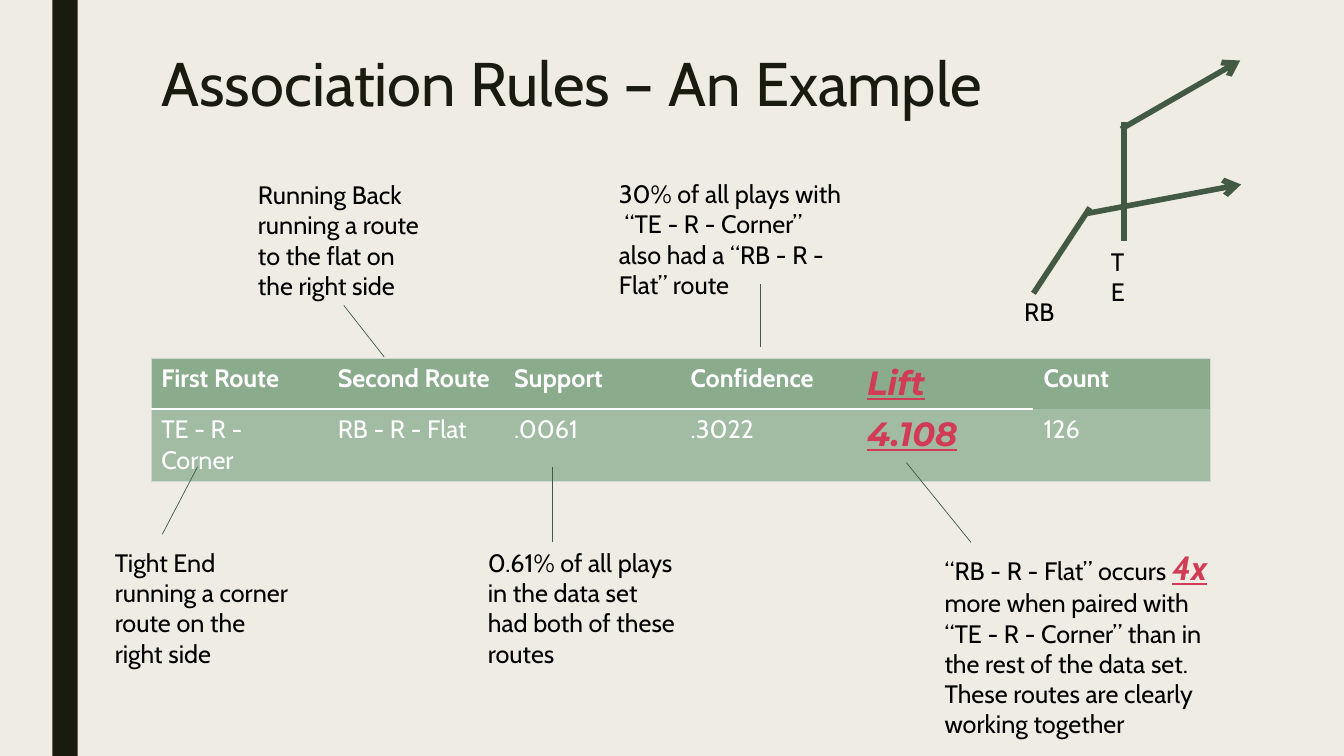
import pptx
import pptx.util
import pptx.dml.color
import pptx.enum.shapes
import pptx.enum.text
import pptx.oxml
import pptx.oxml.ns
import lxml.etree

Inches = pptx.util.Inches
Pt = pptx.util.Pt
RGBColor = pptx.dml.color.RGBColor
qn = pptx.oxml.ns.qn

CREAM = RGBColor(0xEF, 0xED, 0xE3)
DARK = RGBColor(0x19, 0x1B, 0x0E)
BLACK = RGBColor(0, 0, 0)
WHITE = RGBColor(0xFF, 0xFF, 0xFF)
RED = RGBColor(0xD1, 0x3B, 0x56)
GREEN = RGBColor(0x42, 0x5A, 0x43)
HEAD = RGBColor(0x8B, 0xAB, 0x8D)
BODY = RGBColor(0xA2, 0xBC, 0xA4)
EDGE = RGBColor(0xD0, 0xDA, 0xD1)
PLAIN = "{2D5ABB26-0587-4C30-8999-92F81FD0307C}"


def style(font, color, size=18, name="Cabin", bold=False, accent=False):
    """Format a font; an accent is bold, italic and underlined."""
    font.name, font.size, font.color.rgb = name, Pt(size), color
    font.bold = bold or accent
    font.italic = font.underline = accent


def draw(start, end, width, arrow=False):
    """Draw a green line, with an arrowhead at its end if asked."""
    line = slide.shapes.add_connector(
        pptx.enum.shapes.MSO_CONNECTOR.STRAIGHT,
        *[Inches(v) for v in start + end])
    line.line.color.rgb = GREEN
    line.line.width = Pt(width)
    if arrow:
        tip = lxml.etree.SubElement(line.line._get_or_add_ln(), qn("a:tailEnd"))
        tip.set("type", "arrow")
    lxml.etree.SubElement(line._element.spPr, qn("a:effectLst"))


deck = pptx.Presentation()
deck.slide_width, deck.slide_height = Inches(13.33), Inches(7.5)
slide = deck.slides.add_slide(deck.slide_layouts[5])
slide.background.fill.solid()
slide.background.fill.fore_color.rgb = CREAM

bar = slide.shapes.add_shape(
    pptx.enum.shapes.MSO_SHAPE.RECTANGLE,
    Inches(0.52), 0, Inches(0.25), Inches(7.5))
bar.shadow.inherit = False
bar.fill.solid()
bar.fill.fore_color.rgb = DARK
bar.line.fill.background()

title = slide.shapes.title
title.left, title.top = Inches(1.5), Inches(0.48)
title.width, title.height = Inches(10.5), Inches(1.62)
title.text_frame.text = "Association Rules – An Example"
title.text_frame.vertical_anchor = pptx.enum.text.MSO_ANCHOR.TOP
head = title.text_frame.paragraphs[0]
head.alignment = pptx.enum.text.PP_ALIGN.LEFT
head.line_spacing = 0.89
style(head.font, DARK, 44)

# Table of the rule and its measures
rows = [
    ["First Route", "Second Route", "Support", "Confidence", "Lift", "Count"],
    ["TE - R - Corner", "RB - R - Flat", ".0061", ".3022", "4.108", "126"],
]
frame = slide.shapes.add_table(
    2, 6, Inches(1.5), Inches(3.55), Inches(10.5), Inches(1.22))
table = frame.table
table._tbl.tblPr.find(qn("a:tableStyleId")).text = PLAIN
for row, high in zip(table.rows, (0.5, 0.72)):
    row.height = Inches(high)
for r, row in enumerate(rows):
    for c, text in enumerate(row):
        cell = table.cell(r, c)
        cell.text = text
        font = cell.text_frame.paragraphs[0].font
        if c == 4:
            style(font, RED, 24, "Montserrat", accent=True)
        else:
            style(font, WHITE, bold=r == 0)
        rule = (WHITE, 1.5) if c < 5 else None
        thin = (EDGE, 0.5)
        sides = {
            "lnL": thin if c == 0 else None,
            "lnR": thin if c == 5 else None,
            "lnT": thin if r == 0 else rule,
            "lnB": rule if r == 0 else thin,
        }
        props = cell._tc.get_or_add_tcPr()
        for side, edge in sides.items():
            if edge:
                ln = lxml.etree.SubElement(props, qn("a:" + side))
                ln.set("w", str(Pt(edge[1])))
                fill = lxml.etree.SubElement(ln, qn("a:solidFill"))
                tint = lxml.etree.SubElement(fill, qn("a:srgbClr"))
                tint.set("val", str(edge[0]))
        cell.fill.solid()
        cell.fill.fore_color.rgb = BODY if r else HEAD

# Notes around the table and labels of the players
notes = [
    (1.04, 5.38, 1.93, 1.31,
     ["Tight End running a corner route on the right side"]),
    (2.46, 1.73, 1.93, 1.31,
     ["Running Back running a route to the flat on the right side"]),
    (9.27, 5.38, 3.03, 2.02,
     ["“RB - R - Flat” occurs |4x| more when paired with "
      "“TE - R - Corner” than in the rest of the data set. ",
      "These routes are clearly working together"]),
    (6.04, 1.72, 2.4, 1.31,
     ["30% of all plays with  “TE - R - Corner” also had a "
      "“RB - R - Flat” route"]),
    (4.74, 5.38, 2.11, 1.31,
     ["0.61% of all plays in the data set had both of these routes"]),
    (10.92, 2.39, 0.46, 0.4, ["TE"]),
    (10.06, 2.89, 0.55, 0.4, ["RB"]),
]
for left, top, width, height, texts in notes:
    box = slide.shapes.add_textbox(
        Inches(left), Inches(top), Inches(width), Inches(height))
    box.text_frame.word_wrap = True
    for i, text in enumerate(texts):
        para = (box.text_frame.add_paragraph() if i
                else box.text_frame.paragraphs[0])
        parts = text.split("|")
        for part in parts:
            run = para.add_run()
            run.text = part
            if part == "4x":
                style(run.font, RED, 24, accent=True)
            elif len(parts) > 1:
                style(run.font, BLACK)
        if len(parts) == 1:
            style(para.font, BLACK)

# Leaders from the notes to the cells
for start, end in [
    ((1.61, 5.3), (1.96, 4.63)),
    ((3.81, 3.54), (3.41, 3.03)),
    ((5.48, 5.38), (5.48, 4.63)),
    ((7.54, 3.44), (7.54, 2.82)),
    ((9.63, 5.38), (8.99, 4.59)),
]:
    draw(start, end, 0.5)

# Routes of the tight end and the running back
for start, end, arrow in [
    ((11.12, 1.28), (12.3, 0.6), True),
    ((11.15, 1.21), (11.15, 2.39), False),
    ((10.77, 2.12), (12.31, 1.83), True),
    ((10.81, 2.06), (10.25, 2.91), False),
]:
    draw(start, end, 4, arrow)

deck.save("out.pptx")
